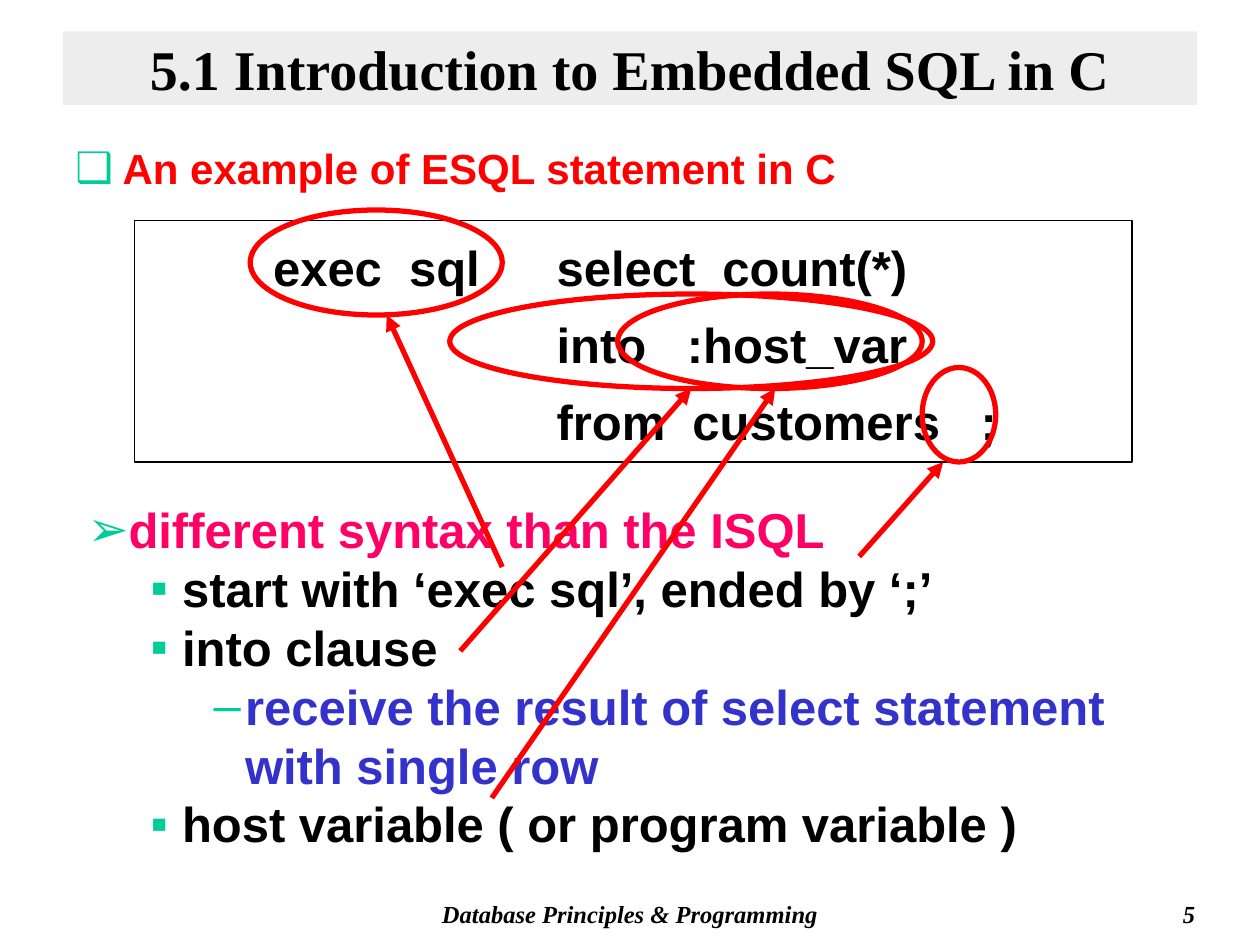
from lxml.etree import SubElement
from pptx import Presentation
from pptx.dml.color import RGBColor
from pptx.enum.shapes import MSO_CONNECTOR, MSO_SHAPE
from pptx.enum.text import MSO_ANCHOR, PP_ALIGN
from pptx.oxml.ns import qn
from pptx.util import Pt

BLACK = RGBColor(0x00, 0x00, 0x00)
WHITE = RGBColor(0xFF, 0xFF, 0xFF)
RED = RGBColor(0xFF, 0x00, 0x00)
PINK = RGBColor(0xFF, 0x00, 0x66)
BLUE = RGBColor(0x33, 0x33, 0xCC)
GREEN = RGBColor(0x00, 0xCC, 0x99)
GRAY = RGBColor(0xDD, 0xDD, 0xDD)

SERIF, SANS = "Times New Roman", "Arial"

TITLE = "5.1 Introduction to Embedded SQL in C"
HEADING = "An example of ESQL statement in C"
CODE = [
    "exec  sql\tselect  count(*)",
    "\tinto   :host_var",
    "\tfrom  customers   ;",
]
# text, bullet, left margin, hanging indent, colour
NOTES = [
    ("different syntax than the ISQL", "➢", 58.5, 22.5, PINK),
    ("start with ‘exec sql’, ended by ‘;’", "▪", 90, 18, BLACK),
    ("into clause", "▪", 90, 18, BLACK),
    ("receive the result of select statement with single row", "–", 126, 18, BLUE),
    ("host variable ( or program variable )", "▪", 90, 18, BLACK),
]
# text, left, width, alignment
FOOTERS = [
    ("Database Principles & Programming", 204, 312, PP_ALIGN.CENTER),
    ("5", 540, 150, PP_ALIGN.RIGHT),
]
# ellipse as left, top, width, height; arrow as start x, y, tip x, y
CALLOUTS = [
    ((257, 168, 276, 54), (263, 372, 395, 222)),
    ((353, 168, 174, 54), (281, 456, 443, 222)),
    ((143, 120, 144, 60), (287, 324, 221, 180)),
    ((527, 210, 42, 54), (491, 318, 539, 264)),
]


def add_text_box(slide, left, top, width, height):
    frame = slide.shapes.add_textbox(Pt(left), Pt(top), Pt(width), Pt(height)).text_frame
    frame.word_wrap = True
    return frame


def add_shape(slide, kind, left, top, width, height):
    shape = slide.shapes.add_shape(kind, Pt(left), Pt(top), Pt(width), Pt(height))
    shape.shadow.inherit = False
    return shape


def fill_solid(shape, color):
    shape.fill.solid()
    shape.fill.fore_color.rgb = color


def set_line(shape, color, width):
    shape.line.color.rgb = color
    shape.line.width = Pt(width)


def next_paragraph(frame, index):
    return frame.paragraphs[0] if index == 0 else frame.add_paragraph()


def set_indent(paragraph, margin, hanging):
    properties = paragraph._p.get_or_add_pPr()
    properties.set("marL", str(Pt(margin)))
    properties.set("indent", str(-Pt(hanging)))
    return properties


def add_bullet(paragraph, character, margin, hanging):
    properties = set_indent(paragraph, margin, hanging)
    color = SubElement(properties, qn("a:buClr"))
    SubElement(color, qn("a:srgbClr"), val=str(GREEN))
    SubElement(properties, qn("a:buFont"), typeface=SANS)
    SubElement(properties, qn("a:buChar"), char=character)


def write(paragraph, text, name, size, color, italic=False):
    paragraph.text = text
    font = paragraph.font
    font.name, font.size, font.bold, font.italic = name, Pt(size), True, italic
    font.color.rgb = color


def add_title(slide):
    banner = add_shape(slide, MSO_SHAPE.RECTANGLE, 36, 18, 648, 42)
    fill_solid(banner, GRAY)
    fill_color = banner._element.spPr.find(qn("a:solidFill"))[0]
    SubElement(fill_color, qn("a:alpha"), val="50000")
    banner.line.fill.background()
    frame = banner.text_frame
    frame.word_wrap = True
    frame.vertical_anchor = MSO_ANCHOR.MIDDLE
    frame.paragraphs[0].alignment = PP_ALIGN.CENTER
    write(frame.paragraphs[0], TITLE, SERIF, 32, BLACK)


def add_code(slide):
    box = add_shape(slide, MSO_SHAPE.RECTANGLE, 77, 126, 570, 138)
    fill_solid(box, WHITE)
    set_line(box, BLACK, 0.75)
    frame = box.text_frame
    frame.word_wrap = True
    frame.vertical_anchor = MSO_ANCHOR.MIDDLE
    for index, text in enumerate(CODE):
        paragraph = next_paragraph(frame, index)
        paragraph.alignment = PP_ALIGN.LEFT
        paragraph.line_spacing = 1.1
        if index:
            paragraph.space_before = Pt(7)
        set_indent(paragraph, 234, 162)  # the tab stops at the left margin
        write(paragraph, text, SANS, 28, BLACK)


def add_arrow(slide, *points):
    arrow = slide.shapes.add_connector(MSO_CONNECTOR.STRAIGHT, *map(Pt, points))
    set_line(arrow, RED, 3)
    SubElement(arrow.line._get_or_add_ln(), qn("a:tailEnd"), type="triangle")
    SubElement(arrow._element.spPr, qn("a:effectLst"))


def main():
    presentation = Presentation()
    presentation.slide_width, presentation.slide_height = Pt(720), Pt(540)
    slide = presentation.slides.add_slide(presentation.slide_layouts[6])

    for text, left, width, alignment in FOOTERS:
        paragraph = add_text_box(slide, left, 510, width, 24).paragraphs[0]
        paragraph.alignment = alignment
        write(paragraph, text, SERIF, 14, BLACK, italic=True)

    add_title(slide)

    heading = add_text_box(slide, 36, 78, 648, 36).paragraphs[0]
    add_bullet(heading, "❑", 27, 27)
    write(heading, HEADING, SANS, 24, RED)

    notes = add_text_box(slide, 7, 282, 648, 204)
    for index, (text, bullet, margin, hanging, color) in enumerate(NOTES):
        paragraph = next_paragraph(notes, index)
        add_bullet(paragraph, bullet, margin, hanging)
        write(paragraph, text, SANS, 28, color)

    add_code(slide)
    for ellipse, arrow in CALLOUTS:
        ring = add_shape(slide, MSO_SHAPE.OVAL, *ellipse)
        ring.fill.background()
        set_line(ring, RED, 3)
        add_arrow(slide, *arrow)

    presentation.save("out.pptx")


if __name__ == "__main__":
    main()
